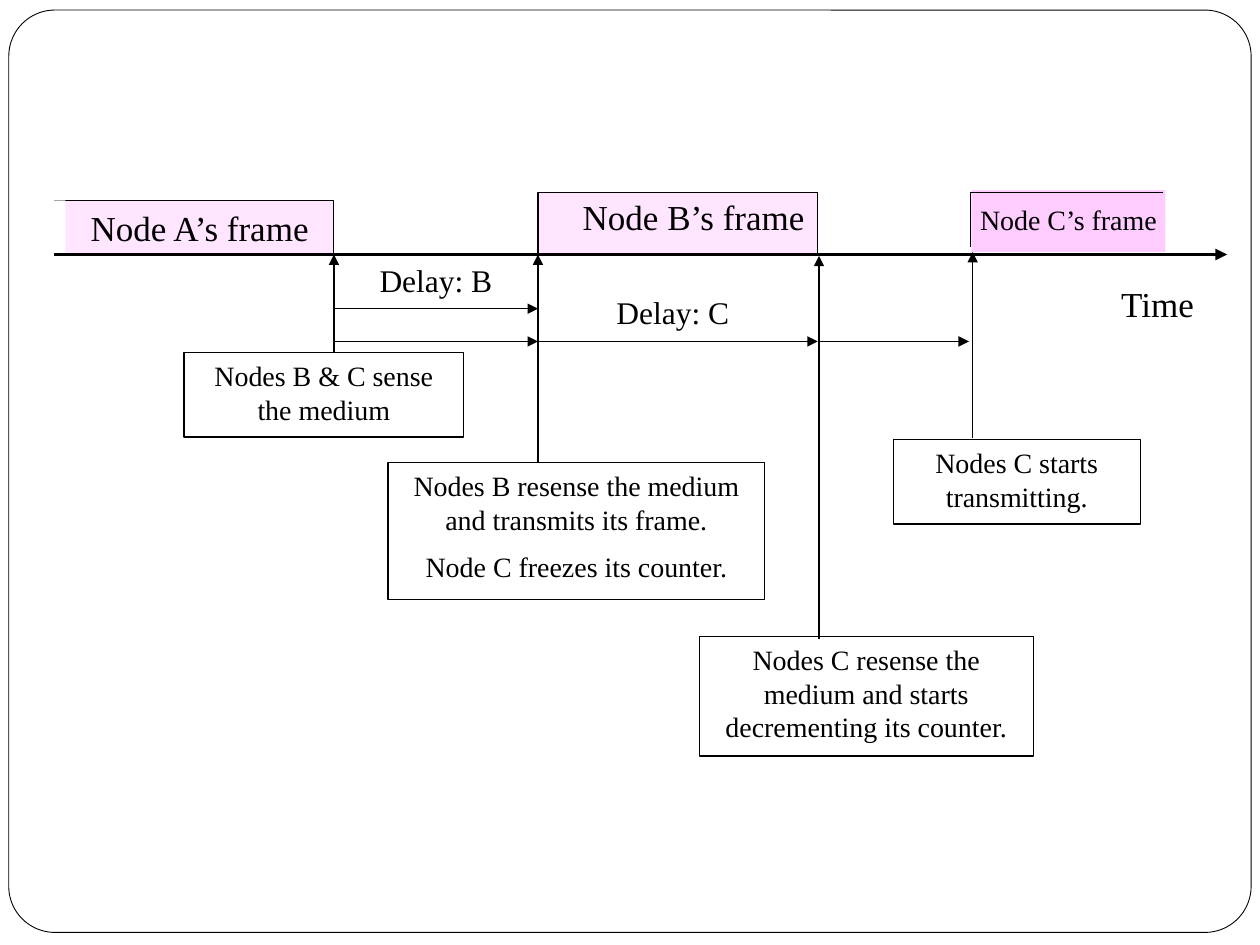
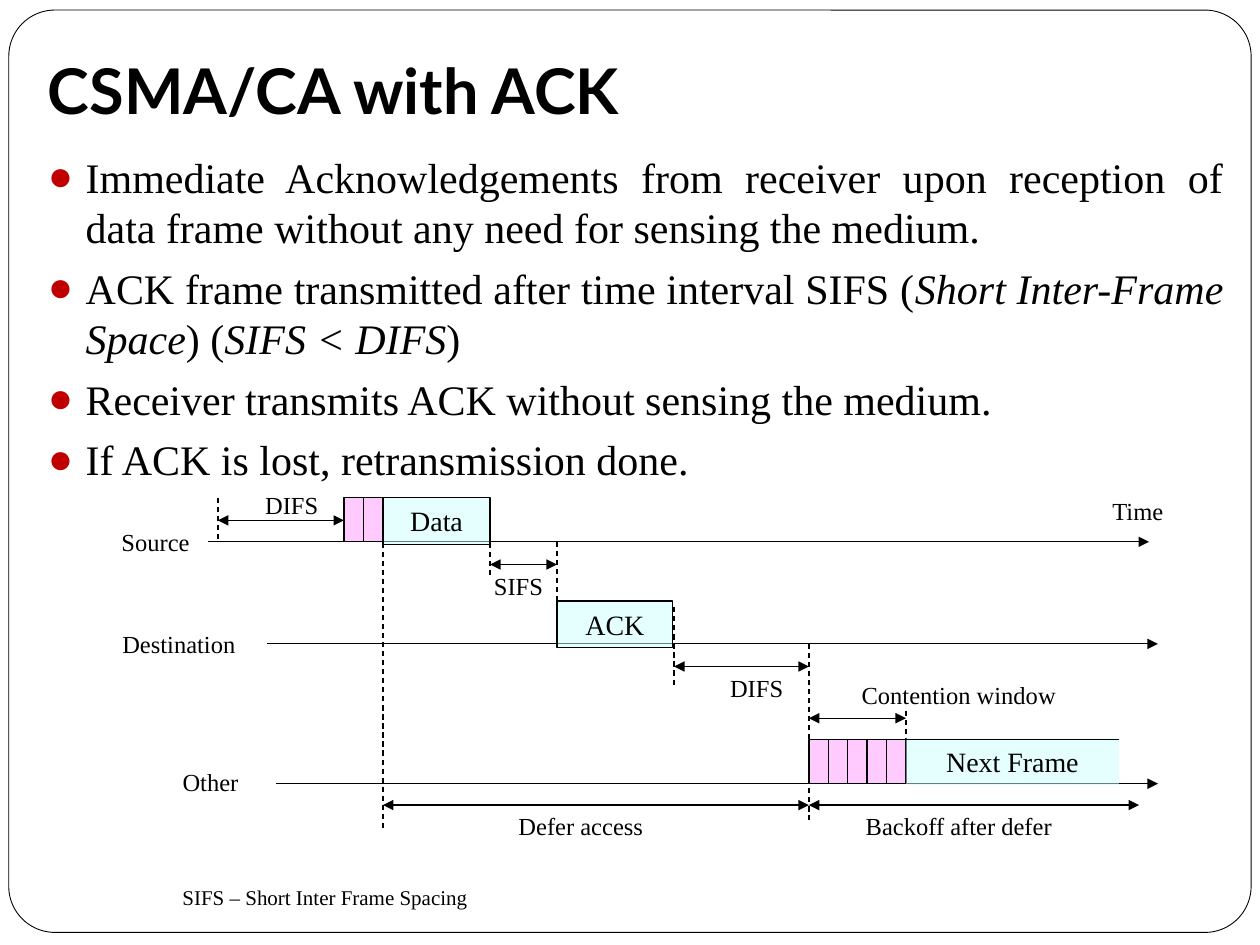
from dataclasses import dataclass

from pptx import Presentation
from pptx.dml.color import RGBColor
from pptx.enum.dml import MSO_LINE
from pptx.enum.shapes import MSO_CONNECTOR, MSO_SHAPE
from pptx.enum.text import MSO_ANCHOR, MSO_AUTO_SIZE, PP_ALIGN
from pptx.oxml.ns import qn
from pptx.util import Inches, Pt
from lxml.etree import SubElement


@dataclass(frozen=True)
class Theme:
    ink: str = "000000"
    white: str = "FFFFFF"
    pink: str = "FFCCFF"
    slot: str = "FF99FF"
    aqua: str = "CCFFFF"
    dot: str = "C00000"
    head: str = "Lato"
    font: str = "Times New Roman"
    title: int = 36
    body: int = 24
    big: int = 20
    mid: int = 18
    note: int = 16
    small: int = 14
    tiny: int = 12
    thin: float = 0.75
    thick: float = 2.25
    edge: float = 0.5


T = Theme()
LEFT, MID, JUST = PP_ALIGN.LEFT, PP_ALIGN.CENTER, PP_ALIGN.JUSTIFY

SENSE, SEND, THAW, START = 2.65, 4.27, 6.49, 7.7
AXIS, WAIT = 2.02, 2.71
FRAMES = [
    (0.43, 1.59, 2.22, 0.43, T.pink, 50, True),
    (SEND, 1.53, 2.22, 0.49, T.pink, 50, True),
    (0.26, 1.59, 0.26, 0.43, T.white, 100, False),
    (7.71, 1.51, 1.54, 0.49, T.pink, 100, False),
]
NOTES = [
    (1.46, 2.8, 2.22, 0.67, ["Nodes B & C sense the medium"]),
    (3.08, 3.67, 2.99, 1.09, ["Nodes B resense the medium and transmits its frame.",
                              "Node C freezes its counter."]),
    (7.09, 3.49, 1.96, 0.67, ["Nodes C starts transmitting."]),
    (5.55, 5.05, 2.65, 0.95,
     ["Nodes C resense the medium and starts decrementing its counter."]),
]
RISES = [(SENSE, 2.8, AXIS), (SEND, 3.67, AXIS), (6.5, 5.07, 2.03), (7.72, 3.48, 2)]
DELAYS = [(SENSE, SEND, 2.45), (SENSE, SEND, WAIT), (SEND, THAW, WAIT), (THAW, 7.69, WAIT)]
TAGS = [
    (8.8, 2.19, 0.94, 0.45, "Time", T.big, LEFT),
    (0.52, 1.59, 2.13, 0.45, "Node A’s frame", T.big, MID),
    (4.18, 1.5, 2.65, 0.45, "Node B’s frame", T.big, MID),
    (7.61, 1.56, 1.74, 0.39, "Node C’s frame", T.note, MID),
    (SENSE, 2.02, 1.62, 0.42, "Delay: B", T.mid, MID),
    (4.53, 2.28, 1.62, 0.42, "Delay: C", T.mid, MID),
]

HEAD = "CSMA/CA with ACK"
POINTS = [
    [("Immediate Acknowledgements from receiver upon reception of data frame "
      "without any need for sensing the medium.", False)],
    [("ACK frame transmitted after time interval SIFS (", False),
     ("Short Inter-Frame Space", True), (") (", False),
     ("SIFS < DIFS", True), (")", False)],
    [("Receiver transmits ACK without sensing the medium.", False)],
    [("If ACK is lost, retransmission done.", False)],
]
IDLE, BACK, DATA, SENT, ACK, DONE, OPEN, NEXT = 1.73, 2.73, 3.04, 3.89, 4.42, 5.35, 6.42, 7.19
SOURCE, DEST, OTHER = 4.3, 5.11, 6.22
TRACKS = [(1.65, 9.12, SOURCE), (2.12, 9.19, DEST), (2.19, 9.19, OTHER)]
MARKS = [(DATA, 3.95, 6.57), (IDLE, 3.95, SOURCE), (SENT, 3.95, 4.59), (ACK, SOURCE, DEST),
         (DONE, 4.82, 5.46), (OPEN, DEST, 6.51), (NEXT, 5.64, 5.93)]
SPANS = [(IDLE, BACK, 4.13), (SENT, ACK, 4.48), (DONE, OPEN, 5.29), (OPEN, NEXT, 5.7),
         (DATA, OPEN, 6.39), (OPEN, 9.04, 6.39)]
SLOTS = [(BACK, DATA, 2, 3.95), (OPEN, NEXT, 5, 5.87)]
BLOCKS = [(NEXT, 5.86, 1.69, "Next Frame", False), (ACK, 4.77, 0.92, "ACK", True),
          (DATA, 3.95, 0.85, "Data", True)]
NAMES = [
    (1.89, 3.84, 0.85, "DIFS", MID),
    (1.35, 6.04, 0.85, "Other", LEFT),
    (0.66, 4.13, 1.15, "Source", MID),
    (0.73, 4.94, 1.38, "Destination", MID),
    (5.58, 5.29, 0.85, "DIFS", MID),
    (3.73, 4.48, 0.77, "SIFS", MID),
    (OPEN, 5.35, 2.38, "Contention window", MID),
    (3.42, 6.39, 2.38, "Defer access", MID),
    (OPEN, 6.39, 2.38, "Backoff after defer", MID),
    (8.73, 3.89, 0.77, "Time", LEFT),
]


def color(code):
    return RGBColor.from_string(code)


def add_run(para, text, size, font=T.font, bold=False, slant=False):
    run = para.add_run()
    run.text = text
    face = run.font
    face.name, face.size, face.bold, face.italic = font, Pt(size), bold, slant
    face.color.rgb = color(T.ink)


def set_frame(frame, anchor=MSO_ANCHOR.TOP):
    frame.word_wrap = True
    frame.auto_size = MSO_AUTO_SIZE.NONE
    frame.vertical_anchor = anchor


def each_para(frame, items):
    for i, item in enumerate(items):
        yield i, frame.paragraphs[0] if i == 0 else frame.add_paragraph(), item


def write(frame, lines, size, align):
    set_frame(frame)
    for i, para, line in each_para(frame, lines):
        para.alignment = align
        if i:
            para.space_before = Pt(size / 2)
        add_run(para, line, size)


def place(shape, x, y, w, h):
    shape.left, shape.top, shape.width, shape.height = map(Inches, (x, y, w, h))


def label(slide, x, y, w, h, text, size, align):
    box = slide.shapes.add_textbox(*map(Inches, (x, y, w, h)))
    write(box.text_frame, [text], size, align)


def block(slide, x, y, w, h, fill=None, alpha=100, edge=True, kind=MSO_SHAPE.RECTANGLE):
    shape = slide.shapes.add_shape(kind, *map(Inches, (x, y, w, h)))
    shape.shadow.inherit = False
    if fill:
        shape.fill.solid()
        shape.fill.fore_color.rgb = color(fill)
        if alpha < 100:
            tint = shape.fill._xPr.find(qn("a:solidFill"))[0]
            SubElement(tint, qn("a:alpha"), val=str(alpha * 1000))
    else:
        shape.fill.background()
    if edge:
        shape.line.color.rgb = color(T.ink)
        shape.line.width = Pt(T.thin)
    else:
        shape.line.fill.background()
    return shape


def line(slide, x1, y1, x2, y2, ends=(), dash=False, width=T.thin):
    wire = slide.shapes.add_connector(MSO_CONNECTOR.STRAIGHT, *map(Inches, (x1, y1, x2, y2)))
    wire.line.color.rgb = color(T.ink)
    wire.line.width = Pt(width)
    if dash:
        wire.line.dash_style = MSO_LINE.DASH
    for end in ends:
        SubElement(wire.line._get_or_add_ln(), qn(f"a:{end}End"), type="triangle")
    SubElement(wire._element.spPr, qn("a:effectLst"))


def new_slide(deck, layout):
    slide = deck.slides.add_slide(deck.slide_layouts[layout])
    rim = block(slide, 0.07, 0.08, 9.86, 7.32, kind=MSO_SHAPE.ROUNDED_RECTANGLE)
    rim.adjustments[0] = 0.05
    rim.line.width = Pt(T.edge)
    return slide


def draw_delay(deck):
    slide = new_slide(deck, 6)
    for item in FRAMES:
        block(slide, *item)
    for x, y, w, h, text in NOTES:
        write(block(slide, x, y, w, h).text_frame, text, T.note, MID)
    for x, low, high in RISES:
        line(slide, x, low, x, high, ["tail"])
    for x1, x2, y in DELAYS:
        line(slide, x1, y, x2, y, ["tail"])
    line(slide, 0.43, AXIS, 9.74, AXIS, ["tail"], width=T.thick)
    line(slide, START, 1.53, START, 1.96)
    line(slide, START, 1.53, 9.23, 1.53)
    for tag in TAGS:
        label(slide, *tag)


def fill_text(slide):
    title, body = slide.shapes.title, slide.placeholders[1]
    place(title, 0.28, 0.32, 9.22, 0.79)
    frame = title.text_frame
    set_frame(frame, MSO_ANCHOR.BOTTOM)
    frame.margin_bottom = Inches(0.1)
    frame.paragraphs[0].alignment = LEFT
    add_run(frame.paragraphs[0], HEAD, T.title, T.head, bold=True)

    place(body, 0.28, 1.15, 9.53, 2.58)
    set_frame(body.text_frame)
    for i, para, runs in each_para(body.text_frame, POINTS):
        para.alignment = JUST
        para.space_before = Pt(5.8 if i else 0)
        props = para._p.get_or_add_pPr()
        props.set("marL", str(Inches(0.3)))
        props.set("indent", str(Inches(-0.3)))
        SubElement(SubElement(props, qn("a:buClr")), qn("a:srgbClr"), val=T.dot)
        SubElement(props, qn("a:buChar"), char="●")
        for text, slant in runs:
            add_run(para, text, T.body, slant=slant)


def draw_ack(deck):
    slide = new_slide(deck, 1)
    fill_text(slide)
    for x1, x2, y in TRACKS:
        line(slide, x1, y, x2, y, ["tail"])
    for x, top, low in MARKS:
        line(slide, x, top, x, low, dash=True)
    for x1, x2, y in SPANS:
        line(slide, x1, y, x2, y, ["head", "tail"])
    for x1, x2, count, y in SLOTS:
        step = (x2 - x1) / count
        for i in range(count):
            block(slide, x1 + i * step, y, step, 0.35, T.slot, 50)
    for x, y, w, text, edge in BLOCKS:
        box = block(slide, x, y, w, 0.37, T.aqua, 50, edge)
        write(box.text_frame, [text], T.note, MID)
    line(slide, NEXT, 5.87, 8.88, 5.87)
    for x, y, w, text, align in NAMES:
        label(slide, x, y, w, 0.34, text, T.small, align)
    label(slide, 1.35, 6.97, 4.54, 0.3, "SIFS – Short Inter Frame Spacing", T.tiny, LEFT)


def main():
    deck = Presentation()
    deck.slide_width, deck.slide_height = Inches(10), Inches(7.5)
    draw_delay(deck)
    draw_ack(deck)
    deck.save("out.pptx")


if __name__ == "__main__":
    main()
